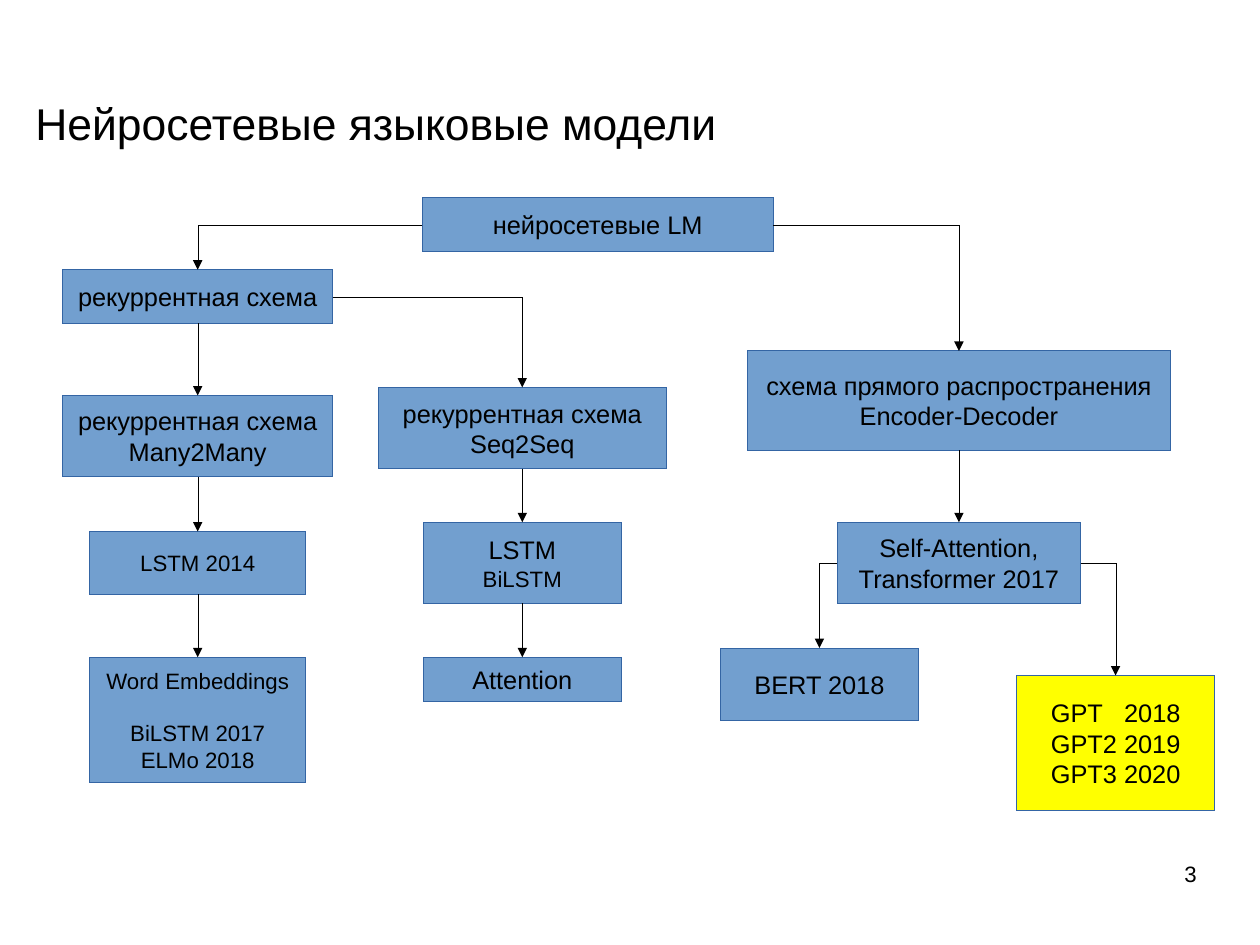
from dataclasses import dataclass

from lxml import etree
from pptx import Presentation
from pptx.dml.color import RGBColor
from pptx.enum.shapes import MSO_CONNECTOR as Link, MSO_SHAPE as Preset
from pptx.enum.text import MSO_ANCHOR as Anchor, MSO_AUTO_SIZE as AutoSize, PP_ALIGN as Align
from pptx.oxml.ns import qn
from pptx.util import Cm, Inches, Pt


@dataclass(frozen=True)
class Theme:
    font: str = "Arial"
    ink: RGBColor = RGBColor(0x00, 0x00, 0x00)
    blue: RGBColor = RGBColor(0x72, 0x9F, 0xCF)
    yellow: RGBColor = RGBColor(0xFF, 0xFF, 0x00)
    border: RGBColor = RGBColor(0x34, 0x65, 0xA4)
    title: int = 28
    label: int = 16
    small: int = 14


theme = Theme()
TOP, LEFT, BOTTOM, RIGHT = range(4)


def add_span(para, text, size, align):
    para.alignment = align
    span = para.add_run()
    span.text = text
    span.font.name = theme.font
    span.font.size = Pt(size)
    span.font.color.rgb = theme.ink


def draw_hairline(shape, color):
    """Give the shape a line of explicit zero width and return its XML element."""
    shape.line.color.rgb = color
    line = shape._element.spPr.find(qn("a:ln"))
    line.set("w", "0")
    return line


deck = Presentation()
deck.slide_width = Cm(28)
deck.slide_height = Cm(21)
page = deck.slides.add_slide(deck.slide_layouts[5])

# Title
title = page.shapes.title
title.left, title.top, title.width, title.height = map(Inches, (0.31, 0.81, 7.95, 0.53))
frame = title.text_frame
frame.margin_left = frame.margin_top = frame.margin_right = frame.margin_bottom = 0
frame.vertical_anchor = Anchor.MIDDLE
frame.auto_size = AutoSize.NONE
add_span(frame.paragraphs[0], "Нейросетевые языковые модели", theme.title, Align.LEFT)

# Boxes: name, centre x, top, width, height, lines of (text, size)
label, small = theme.label, theme.small
models = [
    ("root", 5.23, 1.73, 3.07, 0.47, [("нейросетевые LM", label)]),
    ("recurrent", 1.73, 2.36, 2.36, 0.47, [("рекуррентная схема", label)]),
    ("many", 1.73, 3.46, 2.36, 0.71, [("рекуррентная схема", label), ("Many2Many", label)]),
    ("lstm", 1.73, 4.65, 1.89, 0.55, [("LSTM 2014", small)]),
    ("embeddings", 1.73, 5.75, 1.89, 1.1,
     [("Word Embeddings", small), ("BiLSTM 2017", small), ("ELMo 2018", small)]),
    ("seq", 4.57, 3.39, 2.52, 0.71, [("рекуррентная схема", label), ("Seq2Seq", label)]),
    ("bilstm", 4.57, 4.57, 1.73, 0.71, [("LSTM", label), ("BiLSTM", small)]),
    ("attention", 4.57, 5.75, 1.73, 0.39, [("Attention", label)]),
    ("forward", 8.39, 3.07, 3.7, 0.87,
     [("схема прямого распространения", label), ("Encoder-Decoder", label)]),
    ("transformer", 8.39, 4.57, 2.13, 0.71,
     [("Self-Attention,", label), ("Transformer 2017", label)]),
    ("bert", 7.17, 5.67, 1.73, 0.63, [("BERT 2018", label)]),
    ("gpt", 9.76, 5.91, 1.73, 1.18,
     [("GPT\t2018", label), ("GPT2 2019", label), ("GPT3 2020", label)]),
]
boxes = {}
for name, centre, top, width, height, lines in models:
    box = page.shapes.add_shape(Preset.RECTANGLE, Inches(centre - width / 2), Inches(top),
                                Inches(width), Inches(height))
    boxes[name] = box
    is_gpt = name == "gpt"
    box.shadow.inherit = False
    box.fill.solid()
    box.fill.fore_color.rgb = theme.yellow if is_gpt else theme.blue
    draw_hairline(box, theme.border)
    frame = box.text_frame
    frame.word_wrap = is_gpt
    frame.vertical_anchor = Anchor.MIDDLE
    for number, (text, size) in enumerate(lines):
        para = frame.add_paragraph() if number else frame.paragraphs[0]
        add_span(para, text, size, Align.LEFT if is_gpt else Align.CENTER)

# A tab stop lines up the first year of the GPT box with the others
gpt_frame = boxes["gpt"].text_frame
gpt_frame.margin_left = Inches(0.3)
tabs = etree.SubElement(gpt_frame.paragraphs[0]._p.get_or_add_pPr(), qn("a:tabLst"))
etree.SubElement(tabs, qn("a:tab"), pos=str(Inches(0.64)), algn="l")
boxes["embeddings"].text_frame.paragraphs[1].space_before = Pt(16)

# Arrows: every one enters its target from above
arrows = [
    ("root", LEFT, "recurrent"),
    ("root", RIGHT, "forward"),
    ("recurrent", RIGHT, "seq"),
    ("recurrent", BOTTOM, "many"),
    ("many", BOTTOM, "lstm"),
    ("lstm", BOTTOM, "embeddings"),
    ("seq", BOTTOM, "bilstm"),
    ("bilstm", BOTTOM, "attention"),
    ("forward", BOTTOM, "transformer"),
    ("transformer", LEFT, "bert"),
    ("transformer", RIGHT, "gpt"),
]
for source, side, target in arrows:
    kind = Link.STRAIGHT if side == BOTTOM else Link.ELBOW
    arrow = page.shapes.add_connector(kind, 0, 0, 0, 0)
    arrow.begin_connect(boxes[source], side)
    arrow.end_connect(boxes[target], TOP)
    properties = arrow._element.spPr
    if kind == Link.ELBOW:
        properties.find(qn("a:prstGeom")).set("prst", "bentConnector2")
    line = draw_hairline(arrow, theme.ink)
    etree.SubElement(line, qn("a:tailEnd"), type="triangle")
    etree.SubElement(properties, qn("a:effectLst"))

# Page number
number_box = page.shapes.add_textbox(*map(Inches, (7.9, 7.53, 2.57, 0.57)))
frame = number_box.text_frame
frame.word_wrap = True
frame.margin_left = frame.margin_top = frame.margin_right = frame.margin_bottom = 0
add_span(frame.paragraphs[0], "3", theme.small, Align.RIGHT)

deck.save("out.pptx")
